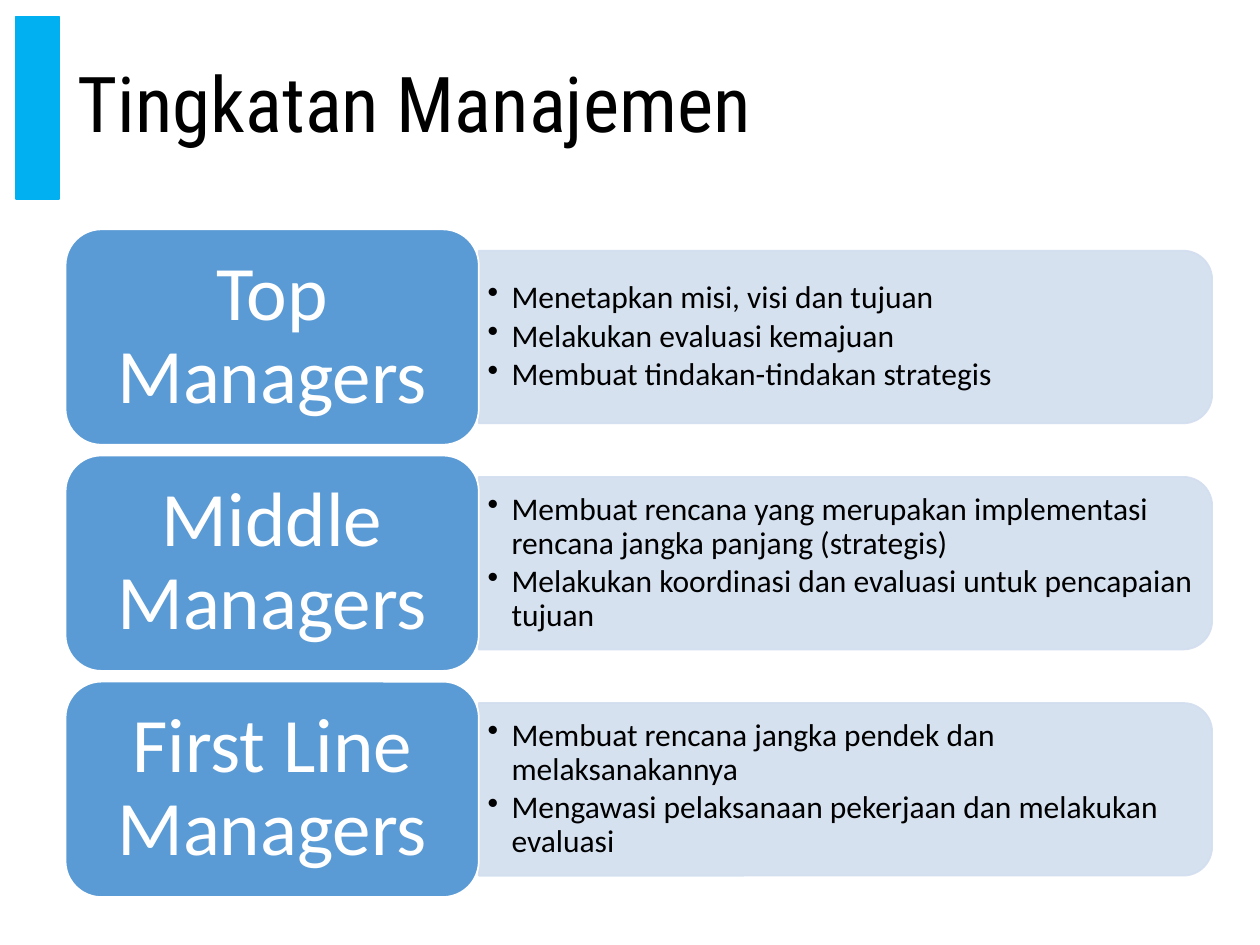
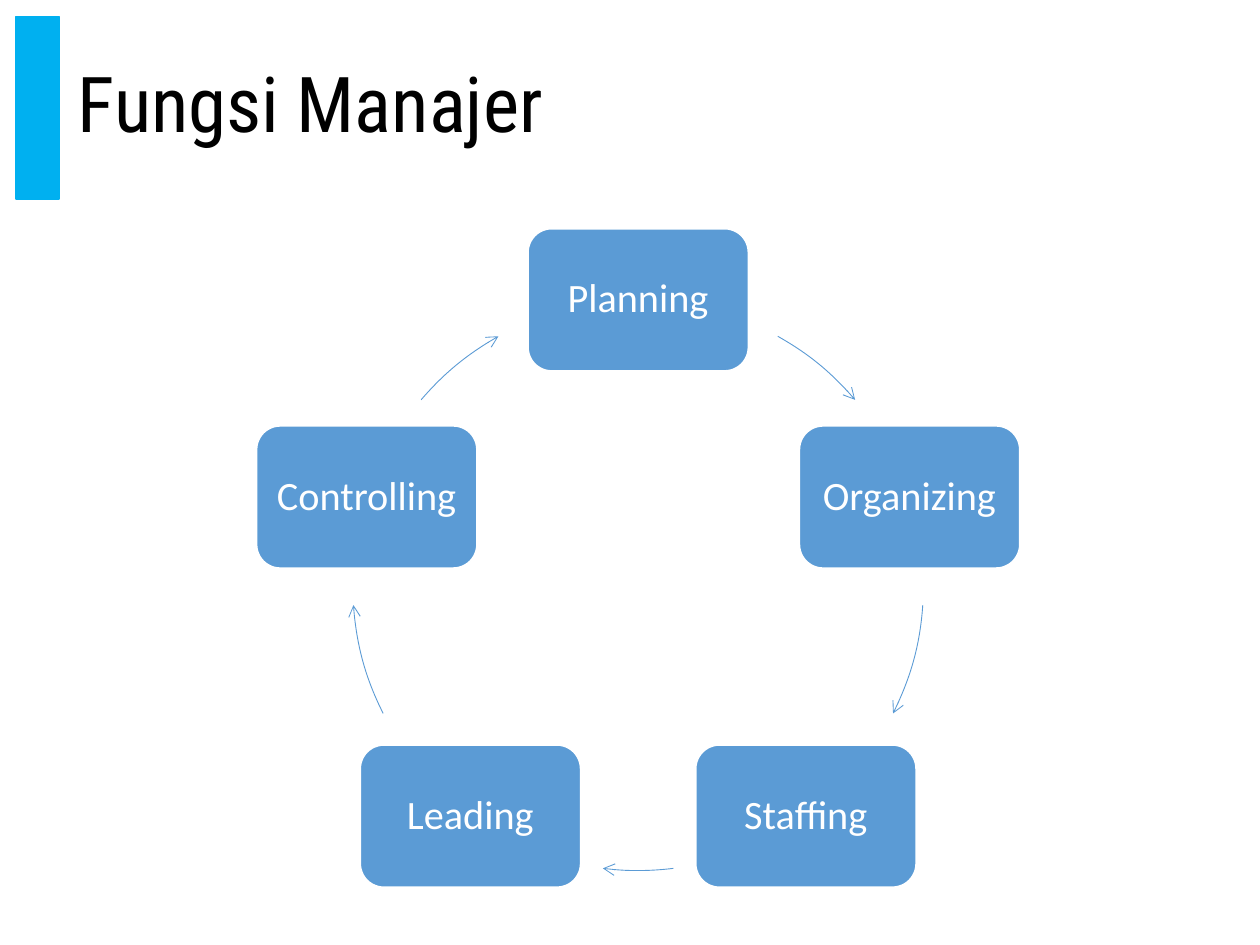
import math

import pptx
import pptx.dml.color
import pptx.enum.shapes
import pptx.enum.text
import pptx.oxml
import pptx.oxml.ns
import pptx.util
from pptx.util import Inches

RGB = pptx.dml.color.RGBColor
SHAPE = pptx.enum.shapes.MSO_SHAPE
ALIGN = pptx.enum.text.PP_ALIGN

ACCENT = RGB(0x00, 0xB0, 0xF0)
BLUE = RGB(0x5B, 0x9B, 0xD5)
PALE_BLUE = RGB(0xD2, 0xDE, 0xEF)
WHITE = RGB(0xFF, 0xFF, 0xFF)
BLACK = RGB(0x00, 0x00, 0x00)
TITLE_FONT = "Roboto Condensed"
BODY_FONT = "Calibri"

LEVELS = [
    ("Top Managers", [
        "Menetapkan misi, visi dan tujuan",
        "Melakukan evaluasi kemajuan",
        "Membuat tindakan-tindakan strategis"]),
    ("Middle Managers", [
        "Membuat rencana yang merupakan implementasi rencana jangka panjang (strategis)",
        "Melakukan koordinasi dan evaluasi untuk pencapaian tujuan"]),
    ("First Line Managers", [
        "Membuat rencana jangka pendek dan melaksanakannya",
        "Mengawasi pelaksanaan pekerjaan dan melakukan evaluasi"]),
]
FUNCTIONS = ["Planning", "Organizing", "Staffing", "Leading", "Controlling"]
# Start and end of each arrow, in degrees clockwise from the top
ARROW_SPANS = [(29.3, 49.5), (94, 116.7), (172.9, 187.1), (243.3, 266), (310.5, 330.7)]


def add_element(parent, tag, **attributes):
    child = pptx.oxml.parse_xml(f"<a:{tag} {pptx.oxml.ns.nsdecls('a')}/>")
    for name, value in attributes.items():
        child.set(name, str(value))
    parent.append(child)


def add_block(slide, preset, box, fill, line):
    block = slide.shapes.add_shape(preset, *map(Inches, box))
    block.shadow.inherit = False
    block.fill.solid()
    block.fill.fore_color.rgb = fill
    block.line.color.rgb = line
    block.line.width = pptx.util.Pt(1)
    return block


def prepare_frame(shape, inset_x, inset_y):
    frame = shape.text_frame
    frame.word_wrap = True
    frame.vertical_anchor = pptx.enum.text.MSO_ANCHOR.MIDDLE
    frame.margin_left = frame.margin_right = Inches(inset_x)
    frame.margin_top = frame.margin_bottom = Inches(inset_y)
    return frame


def write(paragraph, text, size, color, font=BODY_FONT, align=ALIGN.LEFT):
    paragraph.alignment = align
    paragraph.line_spacing = 0.9
    run = paragraph.add_run()
    run.text = text
    run.font.name = font
    run.font.size = pptx.util.Pt(size)
    run.font.color.rgb = color


def add_label(slide, box, text, size, inset_x, inset_y):
    """Blue rounded box with a centred white label."""
    label = add_block(slide, SHAPE.ROUNDED_RECTANGLE, box, BLUE, WHITE)
    frame = prepare_frame(label, inset_x, inset_y)
    write(frame.paragraphs[0], text, size, WHITE, align=ALIGN.CENTER)


def add_titled_slide(deck, title):
    slide = deck.slides.add_slide(deck.slide_layouts[6])
    add_block(slide, SHAPE.RECTANGLE, (0.13, 0.13, 0.34, 1.45), ACCENT, ACCENT)
    heading = slide.shapes.add_textbox(*map(Inches, (0.52, 0.13, 9.1, 1.45)))
    frame = prepare_frame(heading, 0.1, 0.05)
    write(frame.paragraphs[0], title, 44, BLACK, TITLE_FONT)
    return slide


def add_level(slide, box, name, duties):
    """One row: the level's name, and a panel listing its duties."""
    left, top, width, height = box
    name_width, panel_height = 3.28, 1.37
    panel_left, panel_width = left + name_width, width - name_width
    middle = top + height / 2

    # Panel: turned a quarter so that its round corners face right
    panel = add_block(slide, SHAPE.ROUND_2_SAME_RECTANGLE,
                      (panel_left + (panel_width - panel_height) / 2,
                       middle - panel_width / 2, panel_height, panel_width),
                      PALE_BLUE, PALE_BLUE)
    panel.rotation = 90
    for color in panel._element.spPr.iter(pptx.oxml.ns.qn("a:srgbClr")):
        add_element(color, "alpha", val=90000)

    # Duties
    duty_list = slide.shapes.add_textbox(
        *map(Inches, (panel_left, middle - 0.62, panel_width - 0.06, 1.24)))
    frame = prepare_frame(duty_list, 0.07, 0.04)
    for i, duty in enumerate(duties):
        paragraph = frame.add_paragraph() if i else frame.paragraphs[0]
        properties = paragraph._p.get_or_add_pPr()
        properties.set("marL", str(Inches(0.19)))
        properties.set("indent", str(Inches(-0.19)))
        add_element(properties, "buChar", char="•")
        paragraph.space_after = pptx.util.Pt(2.7)
        write(paragraph, duty, 18, BLACK)

    add_label(slide, (left, top, name_width, height), name, 44, 0.18, 0.09)


def add_levels(slide, box):
    left, top, width, height = box
    row_height = 1.71
    pitch = (height - row_height) / (len(LEVELS) - 1)
    for i, (name, duties) in enumerate(LEVELS):
        add_level(slide, (left, top + i * pitch, width, row_height), name, duties)


def add_cycle(slide, box):
    """Functions spaced evenly on the circle in box, joined by arrows."""
    left, top, diameter, _ = box
    radius = diameter / 2
    node_width, node_height = 1.75, 1.13
    for i, (function, span) in enumerate(zip(FUNCTIONS, ARROW_SPANS)):
        angle = 2 * math.pi * i / len(FUNCTIONS)
        x = left + radius + radius * math.sin(angle)
        y = top + radius - radius * math.cos(angle)
        add_label(slide, (x - node_width / 2, y - node_height / 2,
                          node_width, node_height), function, 23, 0.1, 0.1)

        arrow = slide.shapes.add_shape(SHAPE.ARC, *map(Inches, box))
        arrow.shadow.inherit = False
        arrow.fill.background()
        arrow.line.color.rgb = BLUE
        arrow.line.width = pptx.util.Pt(0.5)
        for end, degrees in enumerate(span):
            # Arc angles count from the right, in 60000ths of a degree
            arrow.adjustments[end] = (degrees - 90) % 360 * 0.6
        add_element(arrow.line._get_or_add_ln(), "tailEnd", type="arrow")


def main():
    deck = pptx.Presentation()
    deck.slide_width, deck.slide_height = Inches(10), Inches(7.5)
    add_levels(add_titled_slide(deck, "Tingkatan Manajemen"), (0.52, 1.82, 9.1, 5.3))
    add_cycle(add_titled_slide(deck, "Fungsi Manajer"), (2.8, 2.38, 4.53, 4.53))
    deck.save("out.pptx")


if __name__ == "__main__":
    main()
